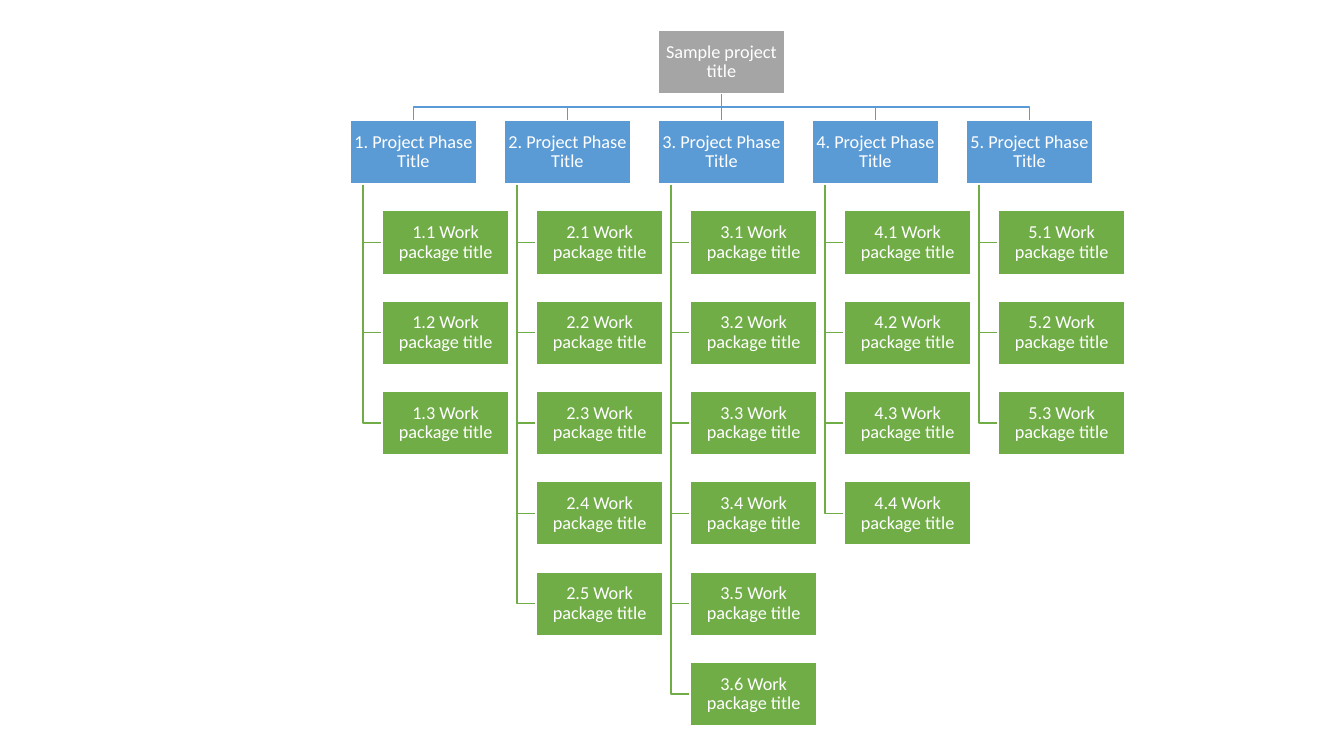
import pptx
import pptx.util
import pptx.dml.color
import pptx.enum.shapes
import pptx.enum.text
import lxml.etree
from pptx.util import Inches

# Content: work packages under each phase
ROOT = "Sample project title"
PHASE = "Project Phase Title"
WORK = "Work package title"
COUNTS = (3, 5, 6, 4, 3)

# Colours
RGB = pptx.dml.color.RGBColor
GREY = RGB(0xA5, 0xA5, 0xA5)
BLUE = RGB(0x5B, 0x9B, 0xD5)
GREEN = RGB(0x70, 0xAD, 0x47)
WHITE = RGB(0xFF, 0xFF, 0xFF)

# Grid, in inches
WIDE, HIGH = 1.26, 0.63
LEFT, TOP = 3.47, 0.3
STEP_X = (9.58 - LEFT) / 4
STEP_Y = (6.57 - TOP) / 7
INDENT = 0.32   # work package box, from the phase's left side
TRUNK = 0.13    # vertical line, from the phase's left side
MID = 2         # column under the root

# Formats
INSET = Inches(0.01)
FRAME = {
    "word_wrap": True,
    "vertical_anchor": pptx.enum.text.MSO_ANCHOR.MIDDLE,
    "margin_left": INSET, "margin_right": INSET,
    "margin_top": INSET, "margin_bottom": INSET,
}
PARA = {"alignment": pptx.enum.text.PP_ALIGN.CENTER, "line_spacing": 0.9}
FONT = {"name": "Calibri", "size": pptx.util.Pt(13)}


def style(item, pairs):
    for key, value in pairs.items():
        setattr(item, key, value)


def stroke(shape, color):
    shape.line.color.rgb = color
    shape.line.width = pptx.util.Pt(1)


def col_x(col):
    return LEFT + col * STEP_X


def row_y(row):
    return TOP + row * STEP_Y


def add_path(points, color):
    dots = [(Inches(x), Inches(y)) for x, y in points]
    pen = shapes.build_freeform(*dots[0])
    pen.add_line_segments(dots[1:], close=False)
    path = pen.convert_to_shape()
    path.shadow.inherit = False
    path.fill.background()
    stroke(path, color)


def add_box(x, row, text, color):
    box = shapes.add_shape(
        pptx.enum.shapes.MSO_SHAPE.RECTANGLE,
        Inches(x), Inches(row_y(row)), Inches(WIDE), Inches(HIGH))
    box.shadow.inherit = False
    box.fill.solid()
    box.fill.fore_color.rgb = color
    stroke(box, WHITE)
    style(box.text_frame, FRAME)
    para = box.text_frame.paragraphs[0]
    style(para, PARA)
    run = para.add_run()
    run.text = text
    style(run.font, FONT)
    run.font.color.rgb = WHITE
    return box


deck = pptx.Presentation()
deck.slide_width, deck.slide_height = Inches(13.33), Inches(7.5)
shapes = deck.slides.add_slide(deck.slide_layouts[6]).shapes

# Lines, behind the boxes
root_x = col_x(MID) + WIDE / 2
root_y = TOP + HIGH
bar_y = (root_y + row_y(1)) / 2
for col, count in reversed(list(enumerate(COUNTS))):
    x = col_x(col) + TRUNK
    for row in range(count + 1, 1, -1):
        y = row_y(row) + HIGH / 2
        add_path([(x, row_y(1) + HIGH), (x, y),
                  (col_x(col) + INDENT, y)], GREEN)
    mid_x = col_x(col) + WIDE / 2
    if col == MID:
        stem = shapes.add_connector(
            pptx.enum.shapes.MSO_CONNECTOR.STRAIGHT, Inches(root_x),
            Inches(root_y), Inches(root_x), Inches(row_y(1)))
        stroke(stem, BLUE)
        lxml.etree.SubElement(
            stem._element.spPr, pptx.oxml.ns.qn("a:effectLst"))
    else:
        add_path([(root_x, root_y), (root_x, bar_y),
                  (mid_x, bar_y), (mid_x, row_y(1))], BLUE)

# Boxes
root = add_box(col_x(MID), 0, ROOT, GREY)
stem.begin_connect(root, 2)
for col, count in enumerate(COUNTS):
    phase = add_box(col_x(col), 1, f"{col + 1}. {PHASE}", BLUE)
    if col == MID:
        stem.end_connect(phase, 0)
    for num in range(1, count + 1):
        add_box(col_x(col) + INDENT, num + 1,
                f"{col + 1}.{num} {WORK}", GREEN)

deck.save("out.pptx")
